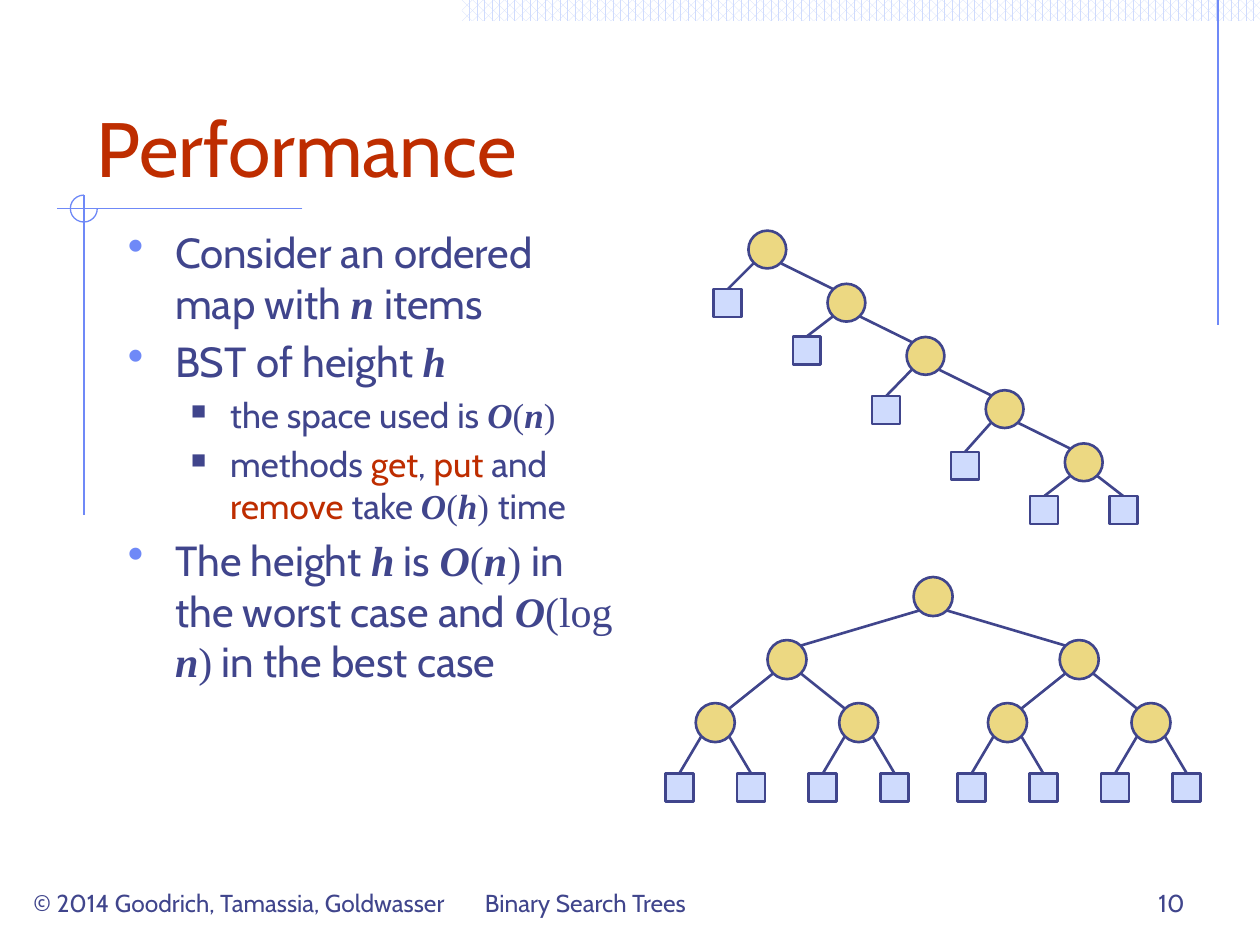
from dataclasses import dataclass

from lxml import etree
from pptx import Presentation
from pptx import util as u
from pptx.dml.color import RGBColor
from pptx.enum import dml, shapes, text
from pptx.oxml import ns

NAVY = RGBColor(0x40, 0x45, 0x8C)
RED = RGBColor(0xBE, 0x2D, 0x00)
BLUE = RGBColor(0x6F, 0x89, 0xF7)
PALE_BLUE = RGBColor(0xCF, 0xDB, 0xFD)
GOLD = RGBColor(0xEC, 0xD8, 0x82)
WHITE = RGBColor(0xFF, 0xFF, 0xFF)
SANS, SERIF = "Cabin", "Times New Roman"
LEAF_SIZE = 16
EDGE_OFFSET = 8


@dataclass
class Node:
    """A tree node by its centre in points; one without children is a leaf."""
    x: float
    y: float
    children: tuple = ()


@dataclass
class BulletStyle:
    char: str
    color: RGBColor
    percent: int
    margin: float
    hanging: float
    size: float


@dataclass
class Span:
    text: str
    color: RGBColor = NAVY
    font: str = SANS
    bold_italic: bool = False


def var(name: str) -> Span:
    return Span(name, font=SERIF, bold_italic=True)


def math(symbols: str) -> Span:
    return Span(symbols, font=SERIF)


def method(name: str) -> Span:
    return Span(name, RED)


MAIN = BulletStyle("•", BLUE, 110, 27, 27, 24)
SUB = BulletStyle("■", NAVY, 60, 58.5, 22.5, 20)

BODY = [
    (MAIN, [Span("Consider an ordered map with "), var("n "), Span("items")]),
    (MAIN, [Span("BST of height "), var("h")]),
    (SUB, [Span("the space used is "), var("O"), math("("), var("n"), math(")")]),
    (SUB, [Span("methods "), method("get"), Span(", "), method("put "), Span("and "),
           method("remove"), Span(" take "), var("O"), math("("), var("h"),
           math(") "), Span("time")]),
    (MAIN, [Span("The height "), var("h"), Span(" is "), var("O"), math("("), var("n"),
            math(") "), Span("in the worst case and "), var("O"), math("(log "),
            var("n"), math(")"), Span(" in the best case")]),
]


def add_run(p, content: str, *, size: float, color: RGBColor = NAVY,
            font: str = SANS, bold: bool = False, italic: bool = False) -> None:
    r = p.add_run()
    r.text = content
    r.font.size, r.font.name = u.Pt(size), font
    r.font.bold, r.font.italic = bold, italic
    r.font.color.rgb = color


def add_box(s, x: float, y: float, w: float, h: float,
            anchor=text.MSO_ANCHOR.BOTTOM):
    tf = s.shapes.add_textbox(u.Pt(x), u.Pt(y), u.Pt(w), u.Pt(h)).text_frame
    tf.word_wrap = True
    tf.vertical_anchor = anchor
    return tf


def add_label(s, x: float, y: float, w: float, h: float, content: str,
              align=text.PP_ALIGN.LEFT, **style) -> None:
    p = add_box(s, x, y, w, h).paragraphs[0]
    p.alignment = align
    add_run(p, content, **style)


def set_bullet(p, style: BulletStyle) -> None:
    pPr = p._p.get_or_add_pPr()
    pPr.set("marL", str(u.Pt(style.margin)))
    pPr.set("indent", str(-u.Pt(style.hanging)))
    clr = etree.SubElement(pPr, ns.qn("a:buClr"))
    etree.SubElement(clr, ns.qn("a:srgbClr"), val=str(style.color))
    etree.SubElement(pPr, ns.qn("a:buSzPct"), val=str(style.percent * 1000))
    etree.SubElement(pPr, ns.qn("a:buChar"), char=style.char)


def add_body(s) -> None:
    tf = add_box(s, 66, 126, 294, 366, text.MSO_ANCHOR.TOP)
    for i, (style, spans) in enumerate(BODY):
        p = tf.add_paragraph() if i else tf.paragraphs[0]
        p.level = int(style is SUB)
        set_bullet(p, style)
        if i:
            p.space_before = u.Pt(style.size * 0.2)
        for span in spans:
            add_run(p, span.text, size=style.size, color=span.color, font=span.font,
                    bold=span.bold_italic, italic=span.bold_italic)


def add_line(s, x1: float, y1: float, x2: float, y2: float,
             color: RGBColor = NAVY, width: float = 1.5) -> None:
    c = s.shapes.add_connector(shapes.MSO_CONNECTOR.STRAIGHT,
                               u.Pt(x1), u.Pt(y1), u.Pt(x2), u.Pt(y2))
    c.line.color.rgb, c.line.width = color, u.Pt(width)
    etree.SubElement(c._element.spPr, ns.qn("a:effectLst"))


def add_shape(s, kind, x: float, y: float, w: float, h: float):
    sp = s.shapes.add_shape(kind, u.Pt(x), u.Pt(y), u.Pt(w), u.Pt(h))
    sp.shadow.inherit = False
    return sp


def draw_tree(s, node: Node, diameter: float) -> None:
    """Draw the edges below a node, then the node, then its subtrees."""
    for child in node.children:
        dx = EDGE_OFFSET if child.x > node.x else -EDGE_OFFSET
        if child.children:
            end = child.x - dx, child.y - EDGE_OFFSET
        else:
            end = child.x, child.y - LEAF_SIZE / 2
        add_line(s, node.x + dx, node.y + EDGE_OFFSET, *end)
    if node.children:
        kind, size, fill = shapes.MSO_SHAPE.OVAL, diameter, GOLD
    else:
        kind, size, fill = shapes.MSO_SHAPE.RECTANGLE, LEAF_SIZE, PALE_BLUE
    sp = add_shape(s, kind, node.x - size / 2, node.y - size / 2, size, size)
    sp.fill.solid()
    sp.fill.fore_color.rgb = fill
    sp.line.color.rgb, sp.line.width = NAVY, u.Pt(1.5)
    for child in node.children:
        draw_tree(s, child, diameter)


def worst_case_tree() -> Node:
    """A chain of nodes, each with a leaf to its left."""
    leaf_dx = 22.6
    leaf_ys = [173.2, 200.2, 234.4, 266.2, 291.5]
    below = Node(619.3 + leaf_dx, leaf_ys[-1])
    for i in reversed(range(len(leaf_ys))):
        x, y = 438.5 + 45.2 * i, 142.6 + 30.4 * i
        below = Node(x, y, (Node(x - leaf_dx, leaf_ys[i]), below))
    return below


def best_case_tree(x: float = 533.2, depth: int = 0) -> Node:
    """A complete tree with three levels of nodes above its leaves."""
    y = [340.9, 376.9, 412.9, 450][depth]
    if depth == 3:
        return Node(x, y)
    dx = [83.5, 41, 20.5][depth]
    return Node(x, y, tuple(best_case_tree(x + d, depth + 1) for d in (-dx, dx)))


def add_decoration(s) -> None:
    band = add_shape(s, shapes.MSO_SHAPE.RECTANGLE, 264, 0, 456, 12)
    band.fill.patterned()
    band.fill.pattern = dml.MSO_PATTERN.PERCENT_60
    band.fill.fore_color.rgb, band.fill.back_color.rgb = PALE_BLUE, WHITE
    band.line.fill.background()
    for ends in ((696, 0, 696, 186), (172.8, 119.3, 32.4, 119.3),
                 (48, 111.5, 48, 294.5)):
        add_line(s, *ends, color=BLUE, width=0.75)
    arc = add_shape(s, shapes.MSO_SHAPE.ARC, 40.2, 111.5, 15.4, 15.4)
    arc.adjustments[0], arc.adjustments[1] = 0, 162  # right, clockwise to the top
    arc.fill.background()
    arc.line.color.rgb, arc.line.width = BLUE, u.Pt(0.75)


def main() -> None:
    prs = Presentation()
    prs.slide_width, prs.slide_height = u.Pt(720), u.Pt(540)
    s = prs.slides.add_slide(prs.slide_layouts[6])
    add_decoration(s)
    add_label(s, 48, 24, 630, 90, "Performance", size=44, color=RED)
    add_body(s)
    draw_tree(s, worst_case_tree(), 21.6)
    draw_tree(s, best_case_tree(), 22.3)
    add_label(s, 12, 492, 270, 36, "© 2014 Goodrich, Tamassia, Goldwasser", size=14)
    add_label(s, 270, 492, 228, 36, "Binary Search Trees", size=14)
    add_label(s, 516, 492, 168, 36, "10", text.PP_ALIGN.RIGHT, size=14)
    prs.save("out.pptx")


if __name__ == "__main__":
    main()
